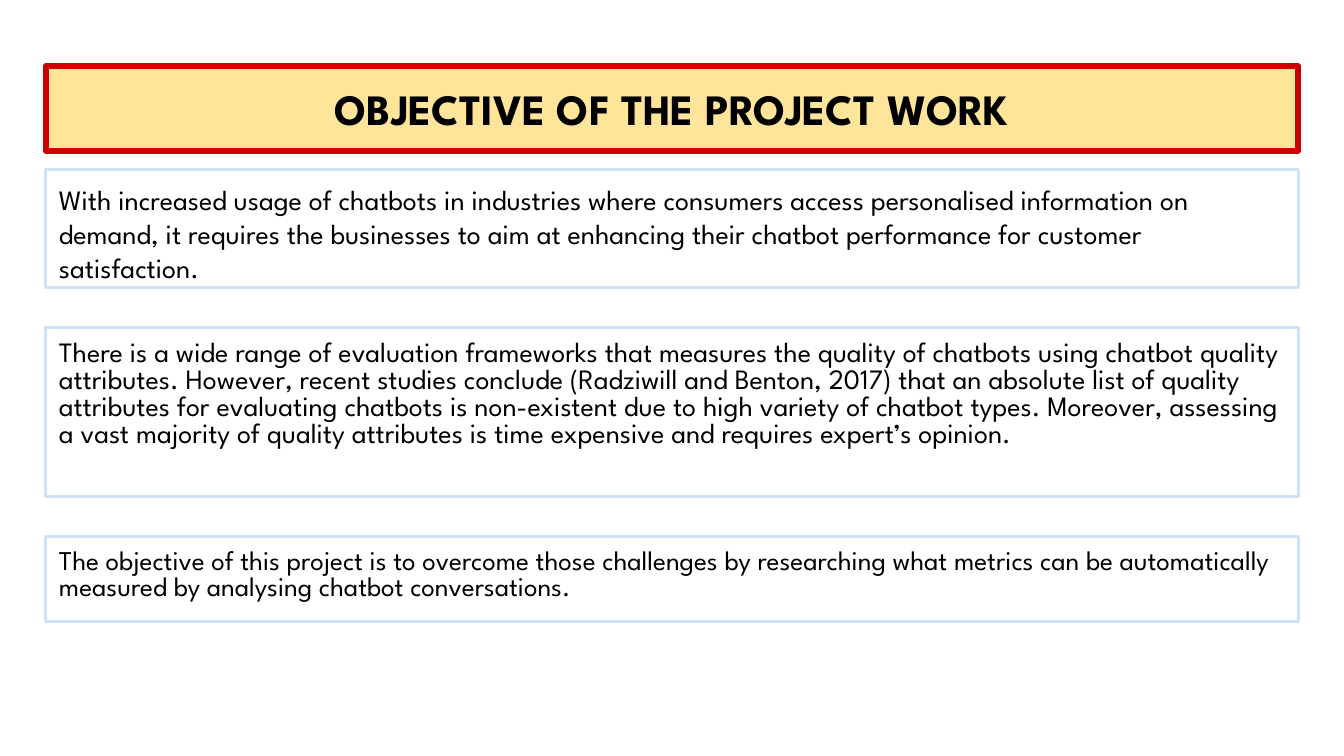
from dataclasses import dataclass

from pptx import Presentation
from pptx.dml.color import RGBColor
from pptx.enum.shapes import MSO_SHAPE
from pptx.enum.text import MSO_ANCHOR, PP_ALIGN
from pptx.slide import Slide
from pptx.util import Pt

RECT = MSO_SHAPE.RECTANGLE
TOP, MIDDLE = MSO_ANCHOR.TOP, MSO_ANCHOR.MIDDLE
LEFT, CENTER = PP_ALIGN.LEFT, PP_ALIGN.CENTER

BLACK = RGBColor(0x00, 0x00, 0x00)
RED = RGBColor(0xCC, 0x00, 0x00)
YELLOW = RGBColor(0xFF, 0xE5, 0x99)
PALE_BLUE = RGBColor(0xCF, 0xE2, 0xF3)

FONT = "League Spartan"
BOX_LEFT, BOX_WIDTH, INSET = 24.5, 671, 7.2


@dataclass
class Box:
    """A full-width text box; lengths in points."""
    top: float
    height: float
    text: str
    size: float = 15
    spacing: float = 0.8


TITLE = Box(35.4, 45.4, "OBJECTIVE OF THE PROJECT WORK", 23.2, 1.0)

PARAGRAPHS = [
    Box(90.8, 63.4,
        "With increased usage of chatbots in industries where consumers access "
        "personalised information on demand, it requires the businesses to aim at "
        "enhancing their chatbot performance for customer satisfaction.",
        spacing=1.0),
    Box(175.6, 90.6,
        "There is a wide range of evaluation frameworks that measures the quality "
        "of chatbots using chatbot quality attributes. However, recent studies "
        "conclude (Radziwill and Benton, 2017) that an absolute list of quality "
        "attributes for evaluating chatbots is non-existent due to high variety of "
        "chatbot types. Moreover, assessing a vast majority of quality attributes "
        "is time expensive and requires expert’s opinion."),
    Box(287.4, 45.4,
        "The objective of this project is to overcome those challenges by "
        "researching what metrics can be automatically measured by analysing "
        "chatbot conversations.",
        size=14.5),
]


def draw_box(s: Slide, box: Box, line: RGBColor, line_width: float,
             fill: RGBColor | None = None, title: bool = False) -> None:
    sp = s.shapes.add_shape(RECT, Pt(BOX_LEFT), Pt(box.top),
                            Pt(BOX_WIDTH), Pt(box.height))
    sp.shadow.inherit = False
    if fill is None:
        sp.fill.background()
    else:
        sp.fill.solid()
        sp.fill.fore_color.rgb = fill
    sp.line.color.rgb = line
    sp.line.width = Pt(line_width)

    tf = sp.text_frame
    tf.word_wrap = True
    tf.margin_left = tf.margin_right = Pt(INSET)
    tf.margin_top = tf.margin_bottom = Pt(INSET)
    tf.vertical_anchor = MIDDLE if title else TOP

    p = tf.paragraphs[0]
    p.text = box.text
    p.alignment = CENTER if title else LEFT
    p.line_spacing = box.spacing
    p.font.name = FONT
    p.font.size = Pt(box.size)
    p.font.bold = title
    p.font.color.rgb = BLACK


def main() -> None:
    prs = Presentation()
    prs.slide_width, prs.slide_height = Pt(720), Pt(405)
    s = prs.slides.add_slide(prs.slide_layouts[6])

    # Title banner
    draw_box(s, TITLE, RED, 3, fill=YELLOW, title=True)

    # Body paragraphs
    for box in PARAGRAPHS:
        draw_box(s, box, PALE_BLUE, 1.5)

    prs.save("out.pptx")


if __name__ == "__main__":
    main()
